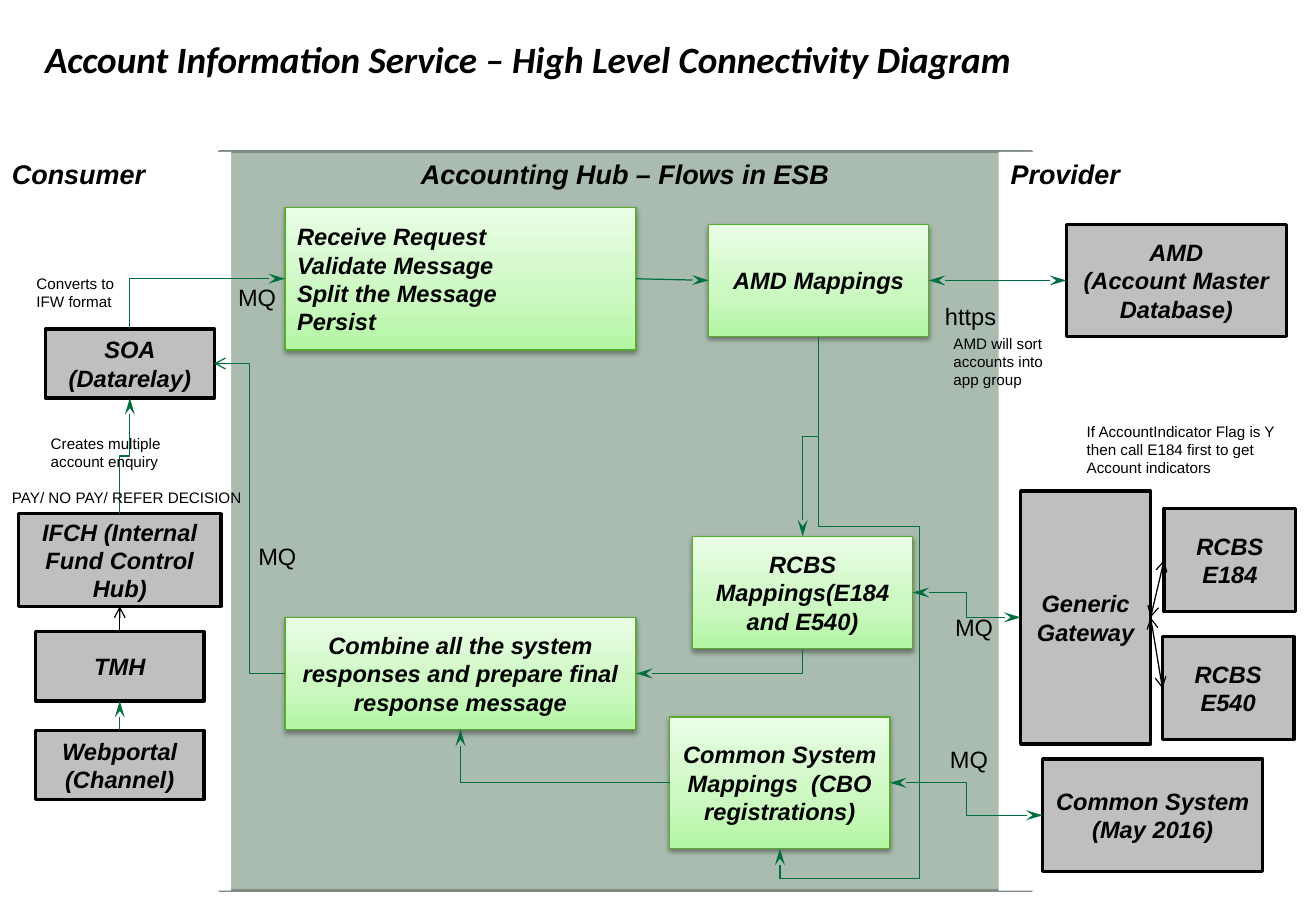
from copy import deepcopy

from lxml import etree
from pptx import Presentation
from pptx.dml.color import RGBColor
from pptx.enum.shapes import MSO_CONNECTOR, MSO_SHAPE
from pptx.enum.text import MSO_ANCHOR, MSO_AUTO_SIZE, PP_ALIGN
from pptx.oxml.ns import qn
from pptx.util import Pt

RECT = MSO_SHAPE.RECTANGLE
STRAIGHT, ELBOW = MSO_CONNECTOR.STRAIGHT, MSO_CONNECTOR.ELBOW
LEFT, CENTER = PP_ALIGN.LEFT, PP_ALIGN.CENTER
TOP, MIDDLE = MSO_ANCHOR.TOP, MSO_ANCHOR.MIDDLE
NO_FIT = MSO_AUTO_SIZE.NONE

BLACK, WHITE, GREY = "000000", "FFFFFF", "BFBFBF"
SAGE, EDGE, LIME, GREEN = "AABCAF", "7E8B81", "58AB31", "006F3E"
FADE = [(0, "B3F6A3"), (0.35, "CAF8BF"), (1, "EAFDE6")]
TWO, THREE, FIVE = "bentConnector2", "bentConnector3", "bentConnector5"

ZONES = [
    ("Accounting Hub – Flows in ESB", (130, 90, 481, 438), SAGE, EDGE, CENTER),
    ("Provider", (592, 90, 188, 438), WHITE, None, LEFT),
    ("Consumer", (0, 90, 137, 438), WHITE, None, LEFT),
]
SYSTEMS = {
    "amd": ("AMD\n(Account Master Database)", (632, 133, 130.5, 66.5)),
    "common": ("Common System (May 2016)", (618, 450, 130.5, 66.5)),
    "gate": ("Generic Gateway", (605, 291, 77, 150)),
    "e184": ("RCBS\nE184", (690, 301.5, 78, 61)),
    "e540": ("RCBS\nE540", (689, 377.5, 78, 61)),
    "soa": ("SOA\n(Datarelay)", (27, 195, 100, 41)),
    "ifch": ("IFCH (Internal Fund Control Hub)", (11, 304.5, 120, 55)),
    "tmh": ("TMH", (21, 374.5, 100, 41)),
    "web": ("Webportal (Channel)", (21, 433, 100, 41)),
}
FLOWS = {
    "receive": ("Receive Request\nValidate Message\nSplit the Message\nPersist",
                (169, 123, 208, 84.5), LEFT),
    "merge": ("Combine all the system responses and prepare final response message",
              (169, 366, 208, 66.5), CENTER),
    "amd map": ("AMD Mappings", (420, 133, 130.5, 66.5), CENTER),
    "rcbs map": ("RCBS Mappings(E184 and E540)", (410.5, 318, 130.5, 66.5), CENTER),
    "cbo map": ("Common System Mappings  (CBO registrations)",
                (397, 425, 130.5, 78), CENTER),
}
# start box, side, end box, side, bend, head, tail, colour
LINKS = [
    ("soa", "top", "receive", "left", TWO, None, "stealth", GREEN),
    ("receive", "right", "amd map", "left", None, None, "stealth", GREEN),
    ("merge", "left", "soa", "right", THREE, None, "arrow", GREEN),
    ("amd map", "right", "amd", "left", None, "stealth", "stealth", GREEN),
    ("rcbs map", "right", "gate", "left", THREE, "stealth", "stealth", GREEN),
    ("cbo map", "right", "common", "left", THREE, "stealth", "stealth", GREEN),
    ("amd map", "bottom", "rcbs map", "top", THREE, None, "stealth", GREEN),
    ("rcbs map", "bottom", "merge", "right", TWO, None, "stealth", GREEN),
    ("cbo map", "left", "merge", "bottom", TWO, None, "stealth", GREEN),
    ("amd map", "bottom", "cbo map", "bottom", FIVE, None, "stealth", GREEN),
    ("web", "top", "tmh", "bottom", None, None, "stealth", GREEN),
    ("tmh", "top", "ifch", "bottom", None, None, "arrow", BLACK),
    ("ifch", "top", "soa", "bottom", THREE, None, "stealth", GREEN),
    ("gate", "right", "e184", "left", None, "arrow", "arrow", BLACK),
    ("gate", "right", "e540", "left", None, "arrow", "arrow", BLACK),
]
BENDS = {FIVE: (37100, -259800, 105900)}
TAGS = [("MQ", 559, 360), ("MQ", 556, 438), ("https", 553, 175.5),
        ("MQ", 146, 317.5), ("MQ", 134, 164)]
NOTES = [
    ("Creates multiple account enquiry", (23, 254, 106, 29)),
    ("AMD will sort accounts into app group", (558, 194.5, 76, 40)),
    ("Converts to IFW format", (14.5, 159, 62, 29)),
    ("PAY/ NO PAY/ REFER DECISION", (0, 286, 155, 18)),
    ("If AccountIndicator Flag is Y then call E184 first to get Account indicators",
     (637, 246.5, 129, 40)),
]


def tint(code):
    """Turn a hex string into a colour."""
    return RGBColor.from_string(code)


def write(shape, text, size, align=LEFT, anchor=TOP, bold=False, font="Arial"):
    """Fill a shape with text; bold text is italic too."""
    frame = shape.text_frame
    frame.text = text
    frame.word_wrap = True
    frame.auto_size = NO_FIT
    frame.vertical_anchor = anchor
    for para in frame.paragraphs:
        para.alignment = align
        for run in para.runs:
            run.font.size = Pt(size)
            run.font.name = font
            run.font.bold = run.font.italic = bold
            run.font.color.rgb = tint(BLACK)


def panel(slide, area, fill, edge, width):
    """Add a plain rectangle."""
    shape = slide.shapes.add_shape(RECT, *map(Pt, area))
    shape.shadow.inherit = False
    shape.fill.solid()
    shape.fill.fore_color.rgb = tint(fill)
    if edge:
        shape.line.color.rgb = tint(edge)
        shape.line.width = Pt(width)
    else:
        shape.line.fill.background()
    return shape


def glow(shape):
    """Give a flow box its green fade and soft shadow."""
    shape.fill.gradient()
    shape.fill.gradient_angle = 90
    props = shape._element.spPr
    stops = next(props.iter(qn("a:gsLst")))
    stops.append(deepcopy(stops[-1]))
    for stop, (place, code) in zip(shape.fill.gradient_stops, FADE):
        stop.position = place
        stop.color.rgb = tint(code)
    shade = etree.SubElement(props.find(qn("a:effectLst")), qn("a:outerShdw"),
                             blurRad=str(Pt(3.1)), dist=str(Pt(1.6)),
                             dir="5400000", rotWithShape="0")
    color = etree.SubElement(shade, qn("a:srgbClr"), val=BLACK)
    etree.SubElement(color, qn("a:alpha"), val="38000")


def port(shape, side):
    """Return the middle of one side of a box."""
    across = {"left": 0, "right": 1}.get(side, 0.5)
    down = {"top": 0, "bottom": 1}.get(side, 0.5)
    return shape.left + shape.width * across, shape.top + shape.height * down


def turn(point, mid):
    """Turn a point a quarter back around the middle."""
    return mid[0] + point[1] - mid[1], mid[1] - point[0] + mid[0]


def link(slide, start, end, bend, steep, head, tail, code):
    """Join two points; a steep elbow sets off vertically."""
    steep = steep and bend
    if steep:
        mid = [(a + b) / 2 for a, b in zip(start, end)]
        start, end = turn(start, mid), turn(end, mid)
    line = slide.shapes.add_connector(ELBOW if bend else STRAIGHT,
                                      *map(int, (*start, *end)))
    line.line.color.rgb = tint(code)
    line.line.width = Pt(0.75)
    props = line._element.spPr
    if steep:
        props.find(qn("a:xfrm")).set("rot", "5400000")
    if bend:
        geom = props.find(qn("a:prstGeom"))
        geom.set("prst", bend)
        for num, value in enumerate(BENDS.get(bend, ()), 1):
            etree.SubElement(geom.find(qn("a:avLst")), qn("a:gd"),
                             name=f"adj{num}", fmla=f"val {value}")
    for tag, kind in (("a:headEnd", head), ("a:tailEnd", tail)):
        if kind:
            size = "lg" if kind == "stealth" else "med"
            etree.SubElement(props.find(qn("a:ln")), qn(tag),
                             type=kind, w="med", len=size)
    etree.SubElement(props, qn("a:effectLst"))


def label(slide, text, area, size):
    """Add a free text label."""
    write(slide.shapes.add_textbox(*map(Pt, area)), text, size)


def head(slide, text):
    """Place the slide title."""
    title = slide.shapes.title
    title.left, title.top, title.width, title.height = map(Pt, (19.5, 18, 728, 34))
    write(title, text, 22, LEFT, MIDDLE, True, "Calibri")


def main():
    """Build the diagram and save it."""
    deck = Presentation()
    deck.slide_width, deck.slide_height = Pt(780), Pt(540)
    slide = deck.slides.add_slide(deck.slide_layouts[5])
    head(slide, "Account Information Service – High Level Connectivity Diagram")
    for text, area, fill, edge, align in ZONES:
        write(panel(slide, area, fill, edge, 2), text, 16, align, TOP, True)
    boxes = {}
    for key, (text, area) in SYSTEMS.items():
        boxes[key] = panel(slide, area, GREY, BLACK, 2)
        write(boxes[key], text, 14, CENTER, MIDDLE, True)
    for key, (text, area, align) in FLOWS.items():
        boxes[key] = panel(slide, area, WHITE, LIME, 0.75)
        glow(boxes[key])
        write(boxes[key], text, 14, align, MIDDLE, True)
    for first, out, last, into, bend, *style in LINKS:
        link(slide, port(boxes[first], out), port(boxes[last], into),
             bend, out in ("top", "bottom"), *style)
    for text, left, top in TAGS:
        label(slide, text, (left, top, 45.5, 24.5), 14)
    for text, area in NOTES:
        label(slide, text, area, 9)
    deck.save("out.pptx")


main()
